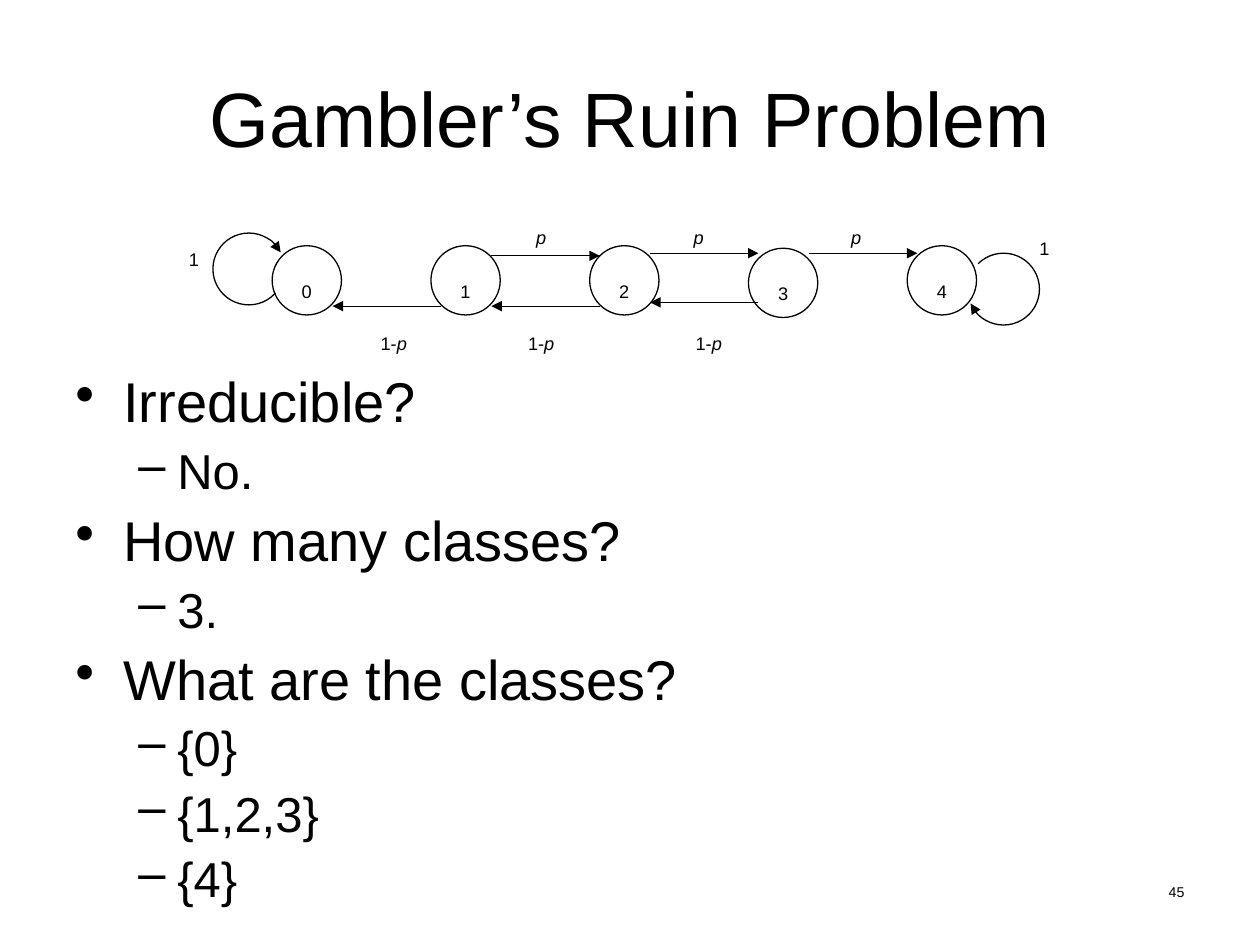
from pptx import Presentation
from pptx.dml.color import RGBColor
from pptx.enum.shapes import MSO_CONNECTOR, MSO_SHAPE
from pptx.enum.text import MSO_ANCHOR, PP_ALIGN
from pptx.oxml.ns import qn
from pptx.util import Inches, Pt
from lxml import etree

CENTER, RIGHT = PP_ALIGN.CENTER, PP_ALIGN.RIGHT
MIDDLE = MSO_ANCHOR.MIDDLE
ELLIPSE, ARC = MSO_SHAPE.OVAL, MSO_SHAPE.ARC
STRAIGHT = MSO_CONNECTOR.STRAIGHT
LEVELS = (
    {"bullet": "•", "indent": 0.38, "hanging": 0.38, "size": 32, "before": 7.5},
    {"bullet": "–", "indent": 0.81, "hanging": 0.31, "size": 28, "before": 7},
)


def color(value):
    return RGBColor.from_string(value)


class ChainSlide:
    """Draws a Markov chain slide in one black line and text style."""

    def __init__(self, slide, font="Arial", ink="000000", line_width=0.75):
        self.slide = slide
        self.font = font
        self.ink = ink
        self.line_width = line_width

    def style_font(self, font, size, **extra):
        formats = {"name": self.font, "size": Pt(size), **extra}
        for attribute, value in formats.items():
            setattr(font, attribute, value)
        font.color.rgb = color(self.ink)

    def style_line(self, shape, arrow=False):
        shape.line.color.rgb = color(self.ink)
        shape.line.width = Pt(self.line_width)
        if arrow:
            outline = shape.line._get_or_add_ln()
            etree.SubElement(outline, qn("a:tailEnd"), type="triangle")

    def write_runs(self, paragraph, runs, size, align):
        paragraph.alignment = align
        for words, italic in runs:
            run = paragraph.add_run()
            run.text = words
            self.style_font(run.font, size, italic=italic)
            run._r.get_or_add_rPr().set("baseline", "-25000")

    def title(self, words, left, top, width, height):
        title = self.slide.shapes.title
        bounds = {"left": left, "top": top, "width": width, "height": height}
        for attribute, value in bounds.items():
            setattr(title, attribute, Inches(value))
        title.text_frame.text = words
        title.text_frame.vertical_anchor = MIDDLE
        heading = title.text_frame.paragraphs[0]
        heading.alignment = CENTER
        self.style_font(heading.runs[0].font, 44)

    def text_frame(self, left, top, width, height):
        box = self.slide.shapes.add_textbox(
            Inches(left), Inches(top), Inches(width), Inches(height))
        box.text_frame.word_wrap = True
        return box.text_frame

    def label(self, runs, left, top, width, height=0.4, size=18, align=CENTER):
        frame = self.text_frame(left, top, width, height)
        self.write_runs(frame.paragraphs[0], runs, size, align)

    def outline_shape(self, kind, left, top, size):
        shape = self.slide.shapes.add_shape(
            kind, Inches(left), Inches(top), Inches(size), Inches(size))
        shape.shadow.inherit = False
        shape.fill.background()
        return shape

    def state(self, name, left, top):
        circle = self.outline_shape(ELLIPSE, left, top, 0.55)
        self.style_line(circle)
        frame = circle.text_frame
        frame.word_wrap = False
        frame.vertical_anchor = MIDDLE
        self.write_runs(frame.paragraphs[0], [(name, False)], 18, CENTER)

    def self_loop(self, left, top, start, end):
        loop = self.outline_shape(ARC, left, top, 0.57)
        for index, degrees in enumerate((start, end)):
            loop.adjustments[index] = degrees * 0.6
        self.style_line(loop, arrow=True)

    def transition(self, start, end, y):
        arrow = self.slide.shapes.add_connector(
            STRAIGHT, Inches(start), Inches(y), Inches(end), Inches(y))
        self.style_line(arrow, arrow=True)
        etree.SubElement(arrow._element.spPr, qn("a:effectLst"))

    def bullets(self, items, left, top, width, height):
        frame = self.text_frame(left, top, width, height)
        for index, (level, words) in enumerate(items):
            style = LEVELS[level]
            paragraph = frame.add_paragraph() if index else frame.paragraphs[0]
            paragraph.level = level
            paragraph.line_spacing = 0.9
            if index:
                paragraph.space_before = Pt(style["before"])
            properties = paragraph._p.get_or_add_pPr()
            properties.set("marL", str(Inches(style["indent"])))
            properties.set("indent", str(-Inches(style["hanging"])))
            etree.SubElement(properties, qn("a:buChar"), char=style["bullet"])
            run = paragraph.add_run()
            run.text = words
            self.style_font(run.font, style["size"])


def main():
    deck = Presentation()
    deck.slide_width, deck.slide_height = Inches(10), Inches(7.5)
    chain = ChainSlide(deck.slides.add_slide(deck.slide_layouts[5]))

    chain.label([("45", False)], 7.17, 6.83, 2.33, 0.52, size=14, align=RIGHT)
    chain.title("Gambler’s Ruin Problem", 0.5, 0.3, 9, 1.25)
    chain.bullets([
        (0, "Irreducible?"), (1, "No."),
        (0, "How many classes?"), (1, "3."),
        (0, "What are the classes?"), (1, "{0}"), (1, "{1,2,3}"), (1, "{4}"),
    ], 0.5, 2.92, 9, 4.33)

    pitch = 1.26
    for number, top in enumerate((1.95, 1.95, 1.95, 1.97, 1.95)):
        chain.state(str(number), 2.16 + pitch * number, top)

    gap_start, gap = 2.64, 0.86
    for number, (win_y, lose_y) in enumerate(
            ((2.03, 2.43), (2.01, 2.43), (2.01, 2.4))):
        lose_left = gap_start + pitch * number
        win_left = lose_left + pitch
        chain.transition(win_left, win_left + gap, win_y)
        chain.transition(lose_left + gap, lose_left, lose_y)

    chain.self_loop(1.69, 1.85, 42, 332.5)
    chain.self_loop(7.68, 2.01, 225, 156.5)
    for left, top in ((1.33, 1.75), (8.08, 1.67)):
        chain.label([("1", False)], left, top, 0.42)
    for left in (2.75, 3.92, 5.25):
        chain.label([("1-", False), ("p", True)], left, 2.42, 0.75)
    for left in (3.92, 5.17, 6.42):
        chain.label([("p", True)], left, 1.58, 0.75)

    deck.save("out.pptx")


if __name__ == "__main__":
    main()
